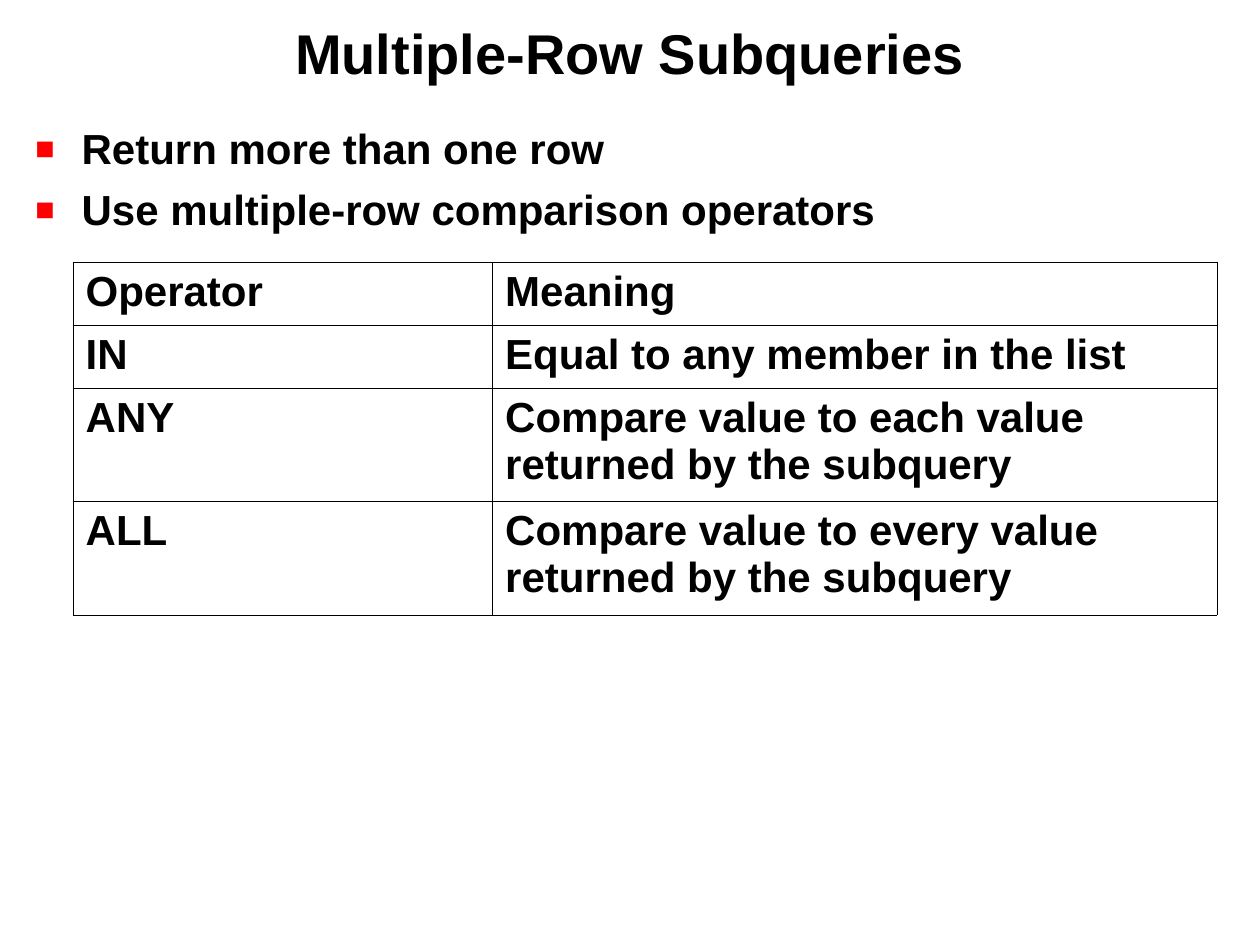
"""Build a slide on multiple-row subqueries with a table of operators."""
from lxml import etree
from pptx import Presentation
from pptx.dml.color import RGBColor
from pptx.enum import text
from pptx.oxml import ns
from pptx.util import Inches, Pt


def color(code):
    return RGBColor.from_string(code)


def write(para, words, size=24, align=text.PP_ALIGN.LEFT, before=0, bullet=None):
    para.alignment = align
    para.space_before = Pt(before)
    run = para.add_run()
    run.text = words
    run.font.size = Pt(size)
    run.font.name = "Arial"
    run.font.bold = True
    run.font.color.rgb = color("000000")
    if bullet:
        props = para._p.get_or_add_pPr()
        props.set("marL", str(Inches(0.38)))
        props.set("indent", str(-Inches(0.38)))
        tint = etree.SubElement(props, ns.qn("a:buClr"))
        etree.SubElement(tint, ns.qn("a:srgbClr"), val="FF0000")
        etree.SubElement(props, ns.qn("a:buSzPct"), val="150000")
        etree.SubElement(props, ns.qn("a:buFont"), typeface="Arial")
        etree.SubElement(props, ns.qn("a:buChar"), char=bullet)


deck = Presentation()
deck.slide_width = Inches(10)
deck.slide_height = Inches(7.5)
slide = deck.slides.add_slide(deck.slide_layouts[6])

title = slide.shapes.add_textbox(Inches(0.5), Inches(0), Inches(9), Inches(0.83)).text_frame
title.word_wrap = True
title.vertical_anchor = text.MSO_ANCHOR.MIDDLE
write(title.paragraphs[0], "Multiple-Row Subqueries", size=32, align=text.PP_ALIGN.CENTER)

body = slide.shapes.add_textbox(Inches(0.17), Inches(0.92), Inches(9.83), Inches(5.78)).text_frame
body.word_wrap = True
points = ["Return more than one row", "Use multiple-row comparison operators"]
for i, point in enumerate(points):
    para = body.add_paragraph() if i else body.paragraphs[0]
    write(para, point, before=6, bullet="▪")

rows = [
    ("Operator", "Meaning"),
    ("IN", "Equal to any member in the list"),
    ("ANY", "Compare value to each value returned by the subquery"),
    ("ALL", "Compare value to every value returned by the subquery"),
]
widths = [3.33, 5.75]
heights = [0.5, 0.5, 0.9, 0.9]
table = slide.shapes.add_table(
    len(rows), len(widths), Inches(0.58), Inches(2.08),
    Inches(sum(widths)), Inches(sum(heights))).table
table.first_row = False
table.horz_banding = False
for col, width in zip(table.columns, widths):
    col.width = Inches(width)
for row, height, words in zip(table.rows, heights, rows):
    row.height = Inches(height)
    for cell, word in zip(row.cells, words):
        write(cell.text_frame.paragraphs[0], word)
        props = cell._tc.get_or_add_tcPr()
        for side in ("lnL", "lnR", "lnT", "lnB"):
            line = etree.SubElement(props, ns.qn("a:" + side), w=str(Pt(0.45)))
            fill = etree.SubElement(line, ns.qn("a:solidFill"))
            etree.SubElement(fill, ns.qn("a:srgbClr"), val="000000")
        cell.fill.background()

deck.save("out.pptx")
